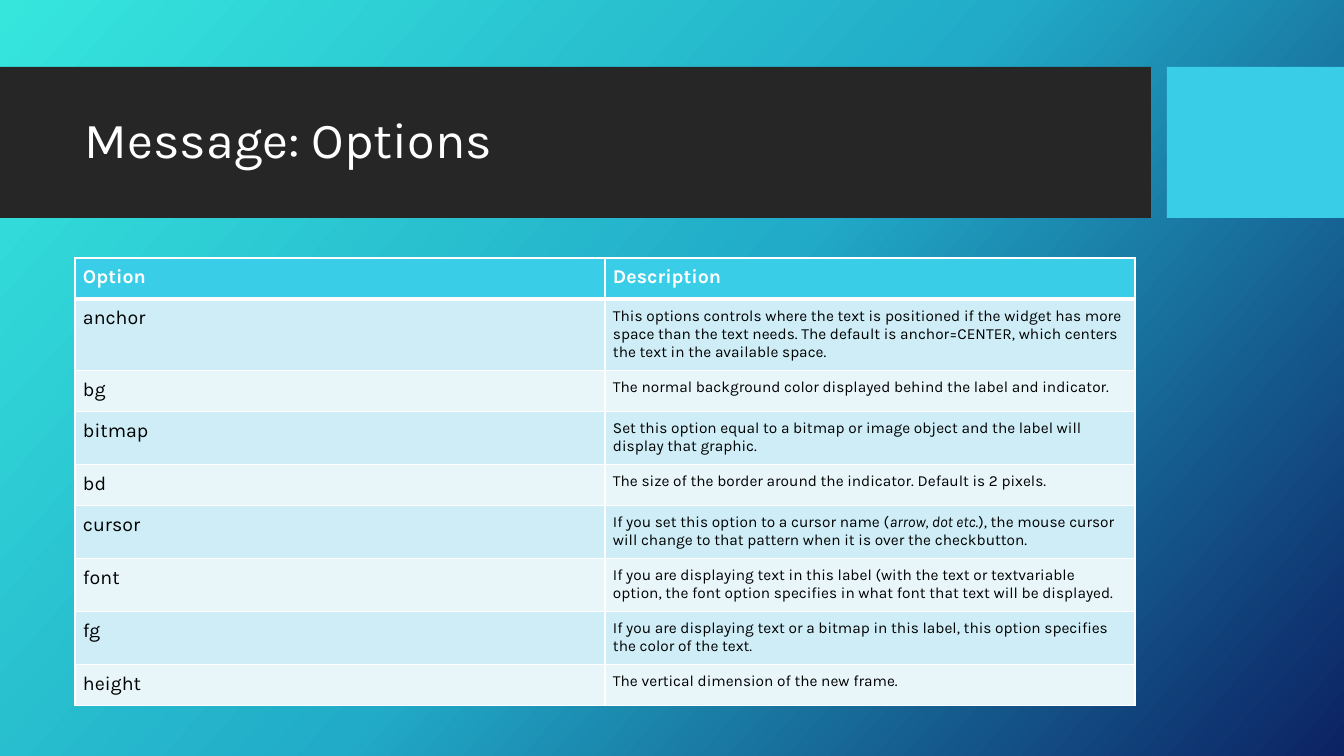
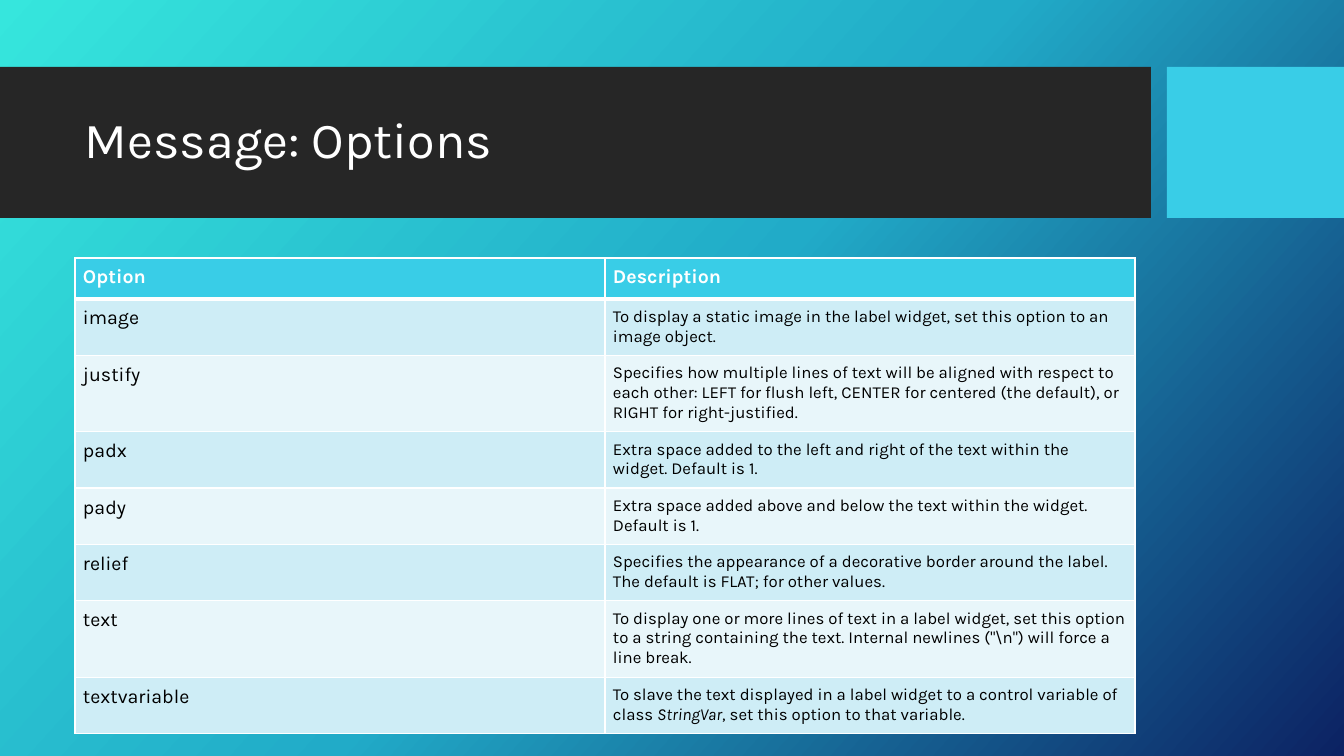
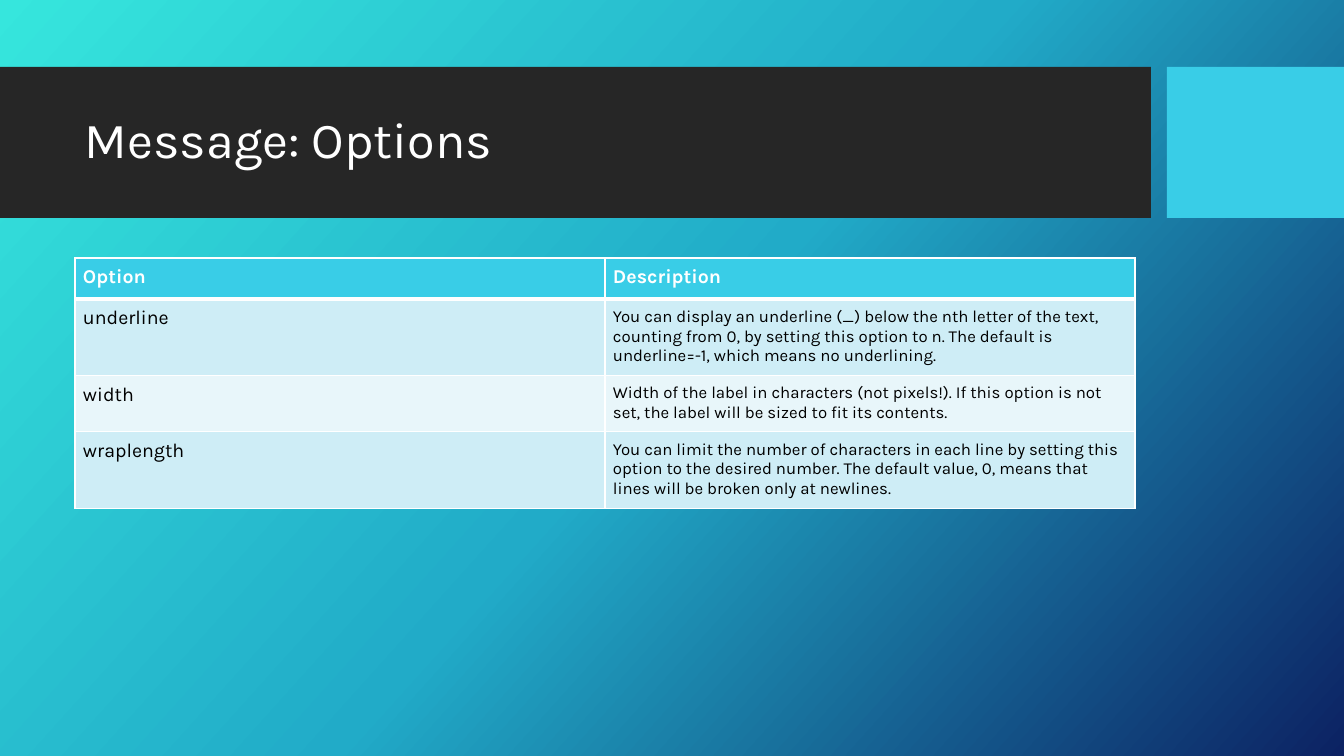
"""Build three slides that list the options of the Message widget."""
from dataclasses import dataclass

from lxml import etree
from pptx import Presentation
from pptx.dml.color import RGBColor
from pptx.enum import shapes, text
from pptx.oxml.ns import qn
from pptx.util import Emu, Pt

SCALE = 914400 / 100.8
SLIDE_SIZE = (1344, 756)
DARK_BAND = (0, 67, 1151, 151)
ACCENT_BLOCK = (1167, 67, 177, 151)
TITLE_BOX = (75, 83, 1060, 119)
TABLE_LEFT, TABLE_TOP, COLUMN_WIDTH, ROW_HEIGHT = 75, 258, 530, 41
CELL_INSET = 8


@dataclass(frozen=True)
class Theme:
    """Colours, font and type sizes of the deck."""
    font: str = "Karla"
    white: str = "FFFFFF"
    black: str = "000000"
    band: str = "262626"
    accent: str = "39CDE7"
    row_fills: tuple = ("CEEDF6", "E8F6FA")
    gradient: tuple = ((0, "36E6DD"), (50, "21ABC8"), (100, "0C2263"))
    gradient_angle: int = 42
    title_size: int = 36
    option_size: int = 14
    rule: int = 1
    header_rule: int = 3


THEME = Theme()
TITLE = "Message: Options"
HEADER = ("Option", "Description")

# Each page: size of the descriptions, then its rows; *asterisks* mark italics.
PAGES = [
    (11, [
        ("anchor", "This options controls where the text is positioned if the "
         "widget has more space than the text needs. The default is "
         "anchor=CENTER, which centers the text in the available space."),
        ("bg", "The normal background color displayed behind the label and "
         "indicator."),
        ("bitmap", "Set this option equal to a bitmap or image object and the "
         "label will display that graphic."),
        ("bd", "The size of the border around the indicator. Default is 2 "
         "pixels."),
        ("cursor", "If you set this option to a cursor name (*arrow, dot "
         "etc.*), the mouse cursor will change to that pattern when it is "
         "over the checkbutton."),
        ("font", "If you are displaying text in this label (with the text or "
         "textvariable option, the font option specifies in what font that "
         "text will be displayed."),
        ("fg", "If you are displaying text or a bitmap in this label, this "
         "option specifies the color of the text."),
        ("height", "The vertical dimension of the new frame."),
    ]),
    (12, [
        ("image", "To display a static image in the label widget, set this "
         "option to an image object."),
        ("justify", "Specifies how multiple lines of text will be aligned "
         "with respect to each other: LEFT for flush left, CENTER for "
         "centered (the default), or RIGHT for right-justified."),
        ("padx", "Extra space added to the left and right of the text within "
         "the widget. Default is 1."),
        ("pady", "Extra space added above and below the text within the "
         "widget. Default is 1."),
        ("relief", "Specifies the appearance of a decorative border around "
         "the label. The default is FLAT; for other values."),
        ("text", "To display one or more lines of text in a label widget, set "
         "this option to a string containing the text. Internal newlines "
         "(\"\\n\") will force a line break."),
        ("textvariable", "To slave the text displayed in a label widget to a "
         "control variable of class\u00a0*StringVar*, set this option to that "
         "variable."),
    ]),
    (12, [
        ("underline", "You can display an underline (_) below the nth letter "
         "of the text, counting from 0, by setting this option to n. The "
         "default is underline=-1, which means no underlining."),
        ("width", "Width of the label in characters (not pixels!). If this "
         "option is not set, the label will be sized to fit its contents."),
        ("wraplength", "You can limit the number of characters in each line "
         "by setting this option to the desired number. The default value, "
         "0, means that lines will be broken only at newlines."),
    ]),
]


def px(length):
    """Turn whole pixels into EMU."""
    return Emu(round(length * SCALE))


def rgb(color):
    """Turn a hex string into a colour."""
    return RGBColor.from_string(color)


def add_color(parent, color):
    """Append an sRGB colour element."""
    etree.SubElement(parent, qn("a:srgbClr"), val=color)


def set_background(master):
    """Give the master the diagonal gradient that all slides inherit."""
    fill = master.background.fill
    fill.gradient()
    fill.gradient_angle = 360 - THEME.gradient_angle
    stops = master.element.find(".//" + qn("p:bgPr")).find(".//" + qn("a:gsLst"))
    for stop in list(stops):
        stops.remove(stop)
    for percent, color in THEME.gradient:
        add_color(etree.SubElement(stops, qn("a:gs"), pos=str(percent * 1000)),
                  color)


def write(p, content, size, color, bold=False):
    """Fill a paragraph, with *marked* parts in italics."""
    p.font.name, p.font.size, p.font.bold = THEME.font, Pt(size), bold
    p.font.color.rgb = rgb(color)
    for i, part in enumerate(content.split("*")):
        r = p.add_run()
        r.text = part
        if i % 2:
            r.font.italic = True


def add_block(slide, box, color):
    """Add a plain filled rectangle."""
    sp = slide.shapes.add_shape(shapes.MSO_SHAPE.RECTANGLE, *map(px, box))
    sp.shadow.inherit = False
    sp.fill.solid()
    sp.fill.fore_color.rgb = rgb(color)
    sp.line.fill.background()


def add_title(slide, title):
    """Add the title on the dark band."""
    tf = slide.shapes.add_textbox(*map(px, TITLE_BOX)).text_frame
    tf.word_wrap = True
    tf.vertical_anchor = text.MSO_ANCHOR.MIDDLE
    p = tf.paragraphs[0]
    p.line_spacing = 0.9
    write(p, title, THEME.title_size, THEME.white)


def set_borders(cell, top, bottom):
    """Draw white rules on all four sides of a cell."""
    tc_pr = cell._tc.get_or_add_tcPr()
    sides = {"L": THEME.rule, "R": THEME.rule, "T": top, "B": bottom}
    for side, width in sides.items():
        ln = etree.SubElement(tc_pr, qn("a:ln" + side), w=str(Pt(width)))
        add_color(etree.SubElement(ln, qn("a:solidFill")), THEME.white)


def style_cell(cell, row):
    """Set the insets, rules and fill of a cell by its row."""
    cell.margin_left = cell.margin_right = px(CELL_INSET)
    cell.margin_top = cell.margin_bottom = px(CELL_INSET)
    set_borders(cell,
                top=THEME.header_rule if row == 1 else THEME.rule,
                bottom=THEME.header_rule if row == 0 else THEME.rule)
    cell.fill.solid()
    fill = THEME.row_fills[(row - 1) % 2] if row else THEME.accent
    cell.fill.fore_color.rgb = rgb(fill)


def add_options_table(slide, options, description_size):
    """Add the table of options and their descriptions."""
    rows = [HEADER, *options]
    table = slide.shapes.add_table(
        len(rows), len(HEADER), px(TABLE_LEFT), px(TABLE_TOP),
        px(COLUMN_WIDTH * len(HEADER)), px(ROW_HEIGHT * len(rows))).table
    for i, row in enumerate(rows):
        table.rows[i].height = px(ROW_HEIGHT)
        for j, content in enumerate(row):
            cell = table.cell(i, j)
            style_cell(cell, i)
            size = description_size if i and j else THEME.option_size
            color = THEME.black if i else THEME.white
            write(cell.text_frame.paragraphs[0], content, size, color,
                  bold=i == 0)


def main():
    """Build and save the deck."""
    prs = Presentation()
    prs.slide_width, prs.slide_height = map(px, SLIDE_SIZE)
    set_background(prs.slide_master)
    for description_size, options in PAGES:
        slide = prs.slides.add_slide(prs.slide_layouts[6])
        add_block(slide, DARK_BAND, THEME.band)
        add_block(slide, ACCENT_BLOCK, THEME.accent)
        add_title(slide, TITLE)
        add_options_table(slide, options, description_size)
    prs.save("out.pptx")


main()
